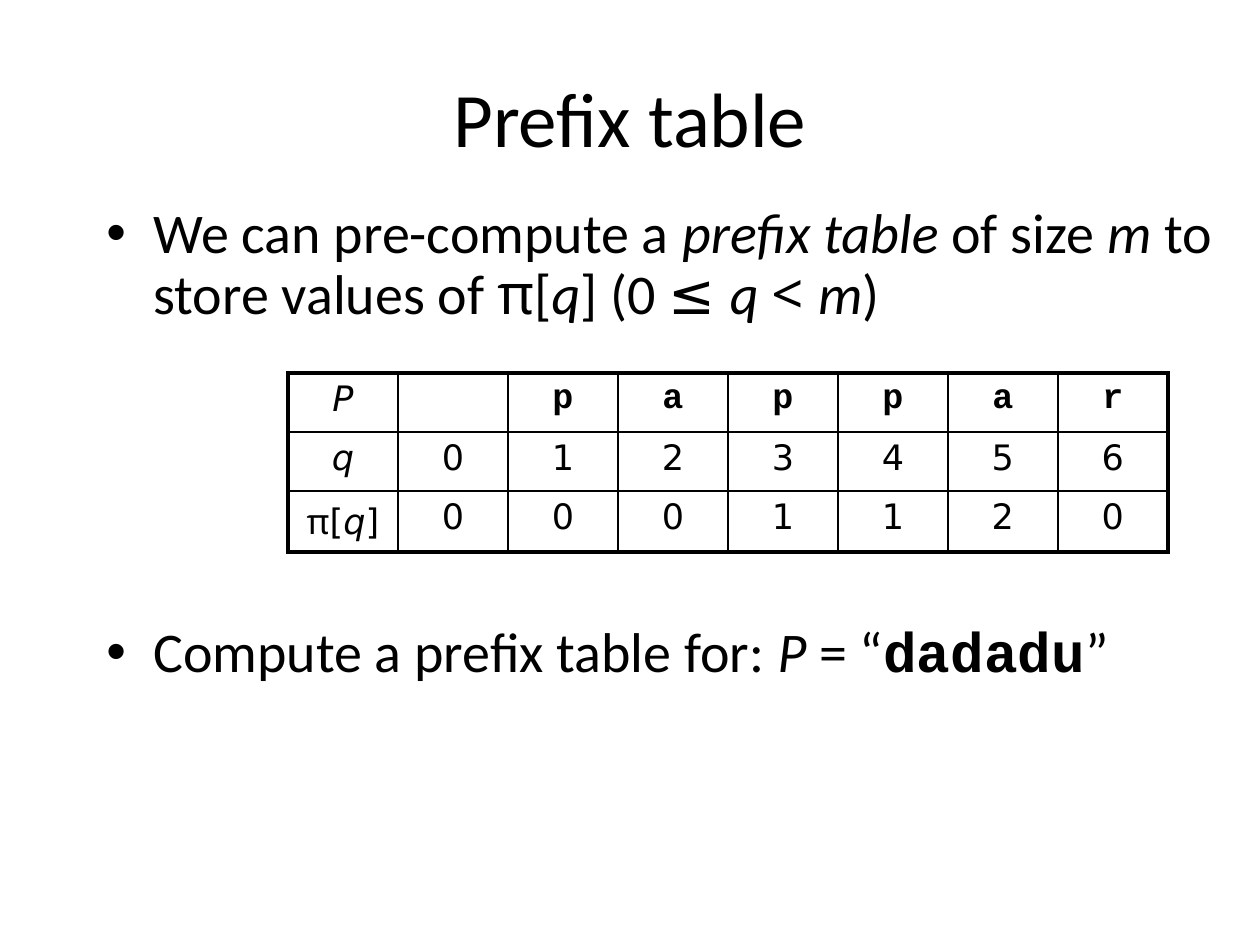
from lxml.etree import SubElement
from pptx import Presentation
from pptx.dml.color import RGBColor
from pptx.enum.text import MSO_ANCHOR as Anchor, PP_ALIGN as Align
from pptx.oxml.ns import qn
from pptx.util import Emu, Pt

PX_PER_INCH = 126
COLORS = {"ink": "000000", "paper": "FFFFFF"}
THIN, THICK = 1, 2.25

STYLES = {
    "plain": {"name": "Calibri"},
    "italic": {"name": "Calibri", "italic": True},
    "symbol": {"name": "Noto Sans"},
    "code": {"name": "Courier New", "bold": True},
    "number": {"name": "DejaVu Sans"},
    "variable": {"name": "DejaVu Sans", "italic": True},
}

DEFINITION = [
    ("We can pre-compute a ", "plain"), ("prefix table", "italic"),
    (" of size ", "plain"), ("m ", "italic"), ("to store values of ", "plain"),
    ("π", "symbol"), ("[", "plain"), ("q", "italic"), ("] (0 ", "plain"),
    ("≤ ", "symbol"), ("q ", "italic"), ("< ", "symbol"),
    ("m", "italic"), (")", "plain"),
]
EXERCISE = [
    ("Compute a prefix table for: ", "plain"), ("P", "italic"),
    (" = “", "plain"), ("dadadu", "code"), ("”", "plain"),
]
PREFIX_ROWS = [
    ([("P", "variable")], ["", *"pappar"], "code"),
    ([("q", "variable")], "0123456", "number"),
    ([("π", "symbol"), ("[", "number"), ("q", "variable"), ("]", "number")],
     "0001120", "number"),
]


def px(length):
    return Emu(round(length * 914400 / PX_PER_INCH))


def rgb(color):
    return RGBColor.from_string(COLORS[color])


def write_runs(paragraph, runs, size):
    paragraph.font.size = Pt(size)
    for text, style in runs:
        run = paragraph.add_run()
        run.text = text
        run.font.color.rgb = rgb("ink")
        for attribute, value in {"size": Pt(size), **STYLES[style]}.items():
            setattr(run.font, attribute, value)


def add_text_frame(slide, left, top, width, height, anchor):
    frame = slide.shapes.add_textbox(px(left), px(top), px(width), px(height)).text_frame
    frame.word_wrap = True
    frame.vertical_anchor = anchor
    return frame


def add_title(slide, title):
    heading = add_text_frame(slide, 63, 38, 1134, 158, Anchor.MIDDLE).paragraphs[0]
    heading.alignment = Align.CENTER
    write_runs(heading, [(title, "plain")], 44)


def format_bullet(paragraph, space_before):
    paragraph.line_spacing = 0.9
    paragraph.space_before = Pt(space_before)
    properties = paragraph._p.get_or_add_pPr()
    properties.set("marL", str(px(47)))
    properties.set("indent", str(-px(47)))
    bullet_color = SubElement(properties, qn("a:buClr"))
    SubElement(bullet_color, qn("a:srgbClr"), val=COLORS["ink"])
    SubElement(properties, qn("a:buFont"), typeface="Arial")
    SubElement(properties, qn("a:buChar"), char="•")


def add_bullets(slide, bullets):
    """Write (runs, space before in points) pairs as one bulleted list."""
    frame = add_text_frame(slide, 94, 199, 1149, 507, Anchor.TOP)
    for index, (runs, space_before) in enumerate(bullets):
        paragraph = frame.add_paragraph() if index else frame.paragraphs[0]
        format_bullet(paragraph, space_before)
        write_runs(paragraph, runs, 32)


def set_borders(cell, widths):
    properties = cell._tc.get_or_add_tcPr()
    for side, width in widths.items():
        line = SubElement(properties, qn(f"a:ln{side}"), w=str(Pt(width)))
        fill = SubElement(line, qn("a:solidFill"))
        SubElement(fill, qn("a:srgbClr"), val=COLORS["ink"])


def add_prefix_table(slide, rows):
    """Thin inner grid with a thick outer frame."""
    column_width, row_heights = 110, [59, 59, 61]
    last_row, last_column = len(rows) - 1, len(rows[0][1])
    table = slide.shapes.add_table(
        last_row + 1, last_column + 1, px(288), px(373),
        px(column_width * (last_column + 1)), px(sum(row_heights))).table
    table.first_row = table.horz_banding = False
    for column in table.columns:
        column.width = px(column_width)
    for r, (label, values, style) in enumerate(rows):
        table.rows[r].height = px(row_heights[r])
        entries = [label] + [[(value, style)] if value else [] for value in values]
        for c, runs in enumerate(entries):
            cell = table.cell(r, c)
            on_frame = {"L": c == 0, "R": c == last_column,
                        "T": r == 0, "B": r == last_row}
            set_borders(cell, {side: THICK if outer else THIN
                               for side, outer in on_frame.items()})
            cell.fill.background()
            paragraph = cell.text_frame.paragraphs[0]
            paragraph.alignment = Align.CENTER
            write_runs(paragraph, runs, 20)


def main():
    deck = Presentation()
    deck.slide_width, deck.slide_height = px(1260), px(945)
    slide = deck.slides.add_slide(deck.slide_layouts[6])
    slide.background.fill.solid()
    slide.background.fill.fore_color.rgb = rgb("paper")
    add_title(slide, "Prefix table")
    add_bullets(slide, [(DEFINITION, 0), (EXERCISE, 170)])
    add_prefix_table(slide, PREFIX_ROWS)
    deck.save("out.pptx")


if __name__ == "__main__":
    main()
